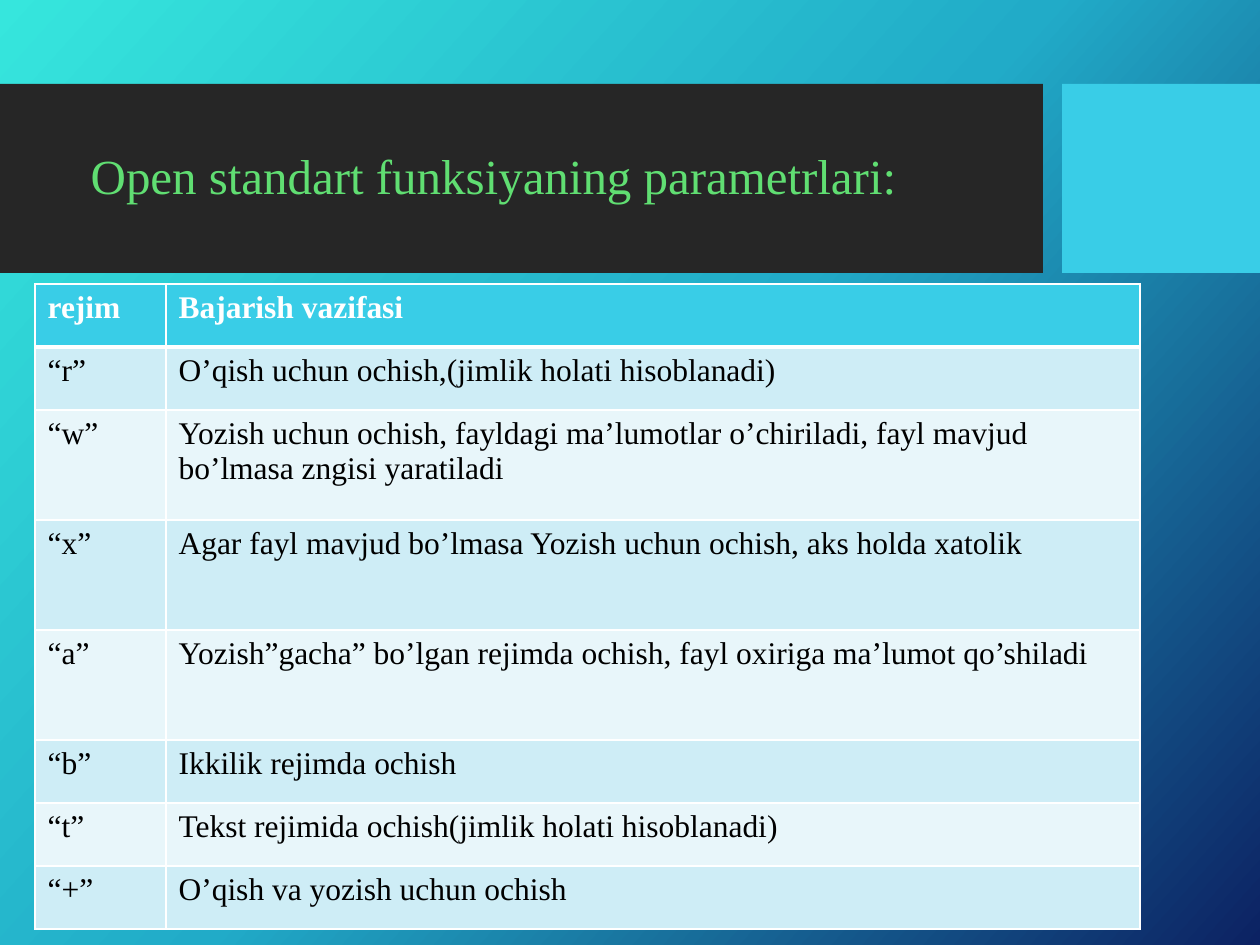
from copy import deepcopy
from dataclasses import dataclass

from lxml import etree
from pptx import Presentation
from pptx.dml.color import RGBColor
from pptx.enum.shapes import MSO_SHAPE
from pptx.enum.text import MSO_ANCHOR, PP_ALIGN
from pptx.oxml.ns import qn
from pptx.util import Emu, Pt

RECTANGLE = MSO_SHAPE.RECTANGLE
MIDDLE = MSO_ANCHOR.MIDDLE
CENTER = PP_ALIGN.CENTER

EMU_PER_PX = 914400 / 126
SLIDE_SIZE = (1260, 945)
BLANK_LAYOUT = 6


@dataclass(frozen=True)
class Theme:
    font: str = "Times New Roman"
    title_size: int = 28
    table_size: int = 18
    gradient: tuple = ((0, "36E6DD"), (0.5, "21ABC8"), (1, "0C2263"))
    gradient_angle: int = 42
    band: str = "262626"
    accent: str = "39CDE7"
    title: str = "60DE72"
    header_text: str = "FFFFFF"
    body_text: str = "000000"
    body_rows: tuple = ("CEEDF6", "E8F6FA")
    border: str = "FFFFFF"
    border_width: int = 1
    header_rule: int = 3


THEME = Theme()

TITLE = "Open standart funksiyaning parametrlari:"
MODES = [
    ("rejim", "Bajarish vazifasi"),
    ("“r”", "O’qish uchun ochish,(jimlik holati hisoblanadi)"),
    ("“w”", "Yozish uchun ochish, fayldagi ma’lumotlar o’chiriladi, "
            "fayl mavjud bo’lmasa zngisi yaratiladi"),
    ("“x”", "Agar fayl mavjud bo’lmasa Yozish uchun ochish, aks holda xatolik"),
    ("“a”", "Yozish”gacha” bo’lgan rejimda ochish, fayl oxiriga ma’lumot qo’shiladi"),
    ("“b”", "Ikkilik rejimda ochish"),
    ("“t”", "Tekst rejimida ochish(jimlik holati hisoblanadi)"),
    ("“+”", "O’qish va yozish uchun ochish"),
]
SHORT_ROW, TALL_ROW = 63, 110
TALL_MODES = ("“w”", "“x”", "“a”")
MODE_COLUMN = 131


def px(length):
    return Emu(round(length * EMU_PER_PX))


def rgb(value):
    return RGBColor.from_string(value)


def style_font(paragraph, size, color, bold=False):
    font = paragraph.font
    font.name, font.size, font.bold = THEME.font, Pt(size), bold
    font.color.rgb = rgb(color)


def paint_background(slide):
    fill = slide.background.fill
    fill.gradient()
    fill.gradient_angle = 360 - THEME.gradient_angle
    stop_list = slide.element.find(".//" + qn("a:gsLst"))
    stop_list.insert(1, deepcopy(stop_list[0]))
    for stop, (position, color) in zip(fill.gradient_stops, THEME.gradient):
        stop.position = position
        stop.color.rgb = rgb(color)


def add_block(slide, left, top, width, height, color):
    block = slide.shapes.add_shape(
        RECTANGLE, px(left), px(top), px(width), px(height))
    block.shadow.inherit = False
    block.fill.solid()
    block.fill.fore_color.rgb = rgb(color)
    block.line.fill.background()


def add_title_band(slide, left, top, width, height):
    """Dark band with the title, and an accent block after a gap."""
    accent_width, gap = 198, 19
    band_width = width - accent_width - gap
    add_block(slide, left, top, band_width, height, THEME.band)
    add_block(slide, left + width - accent_width, top, accent_width, height,
              THEME.accent)

    title_height = 67
    title = slide.shapes.add_textbox(
        px(left + 74), px(top + (height - title_height) / 2),
        px(839), px(title_height))
    frame = title.text_frame
    frame.word_wrap = False
    frame.vertical_anchor = MIDDLE
    paragraph = frame.paragraphs[0]
    paragraph.text = TITLE
    paragraph.alignment = CENTER
    paragraph.line_spacing = 0.9
    style_font(paragraph, THEME.title_size, THEME.title)


def set_borders(cell, top, bottom):
    properties = cell._tc.get_or_add_tcPr()
    sides = (("L", THEME.border_width), ("R", THEME.border_width),
             ("T", top), ("B", bottom))
    for side, width in sides:
        line = etree.SubElement(properties, qn("a:ln" + side), w=str(Pt(width)))
        fill = etree.SubElement(line, qn("a:solidFill"))
        etree.SubElement(fill, qn("a:srgbClr"), val=THEME.border)


def fill_cell(cell, text, row):
    header = row == 0
    set_borders(cell,
                top=THEME.header_rule if row == 1 else THEME.border_width,
                bottom=THEME.header_rule if header else THEME.border_width)
    cell.fill.solid()
    cell.fill.fore_color.rgb = rgb(
        THEME.accent if header else THEME.body_rows[(row - 1) % 2])
    paragraph = cell.text_frame.paragraphs[0]
    paragraph.text = text
    style_font(paragraph, THEME.table_size,
               THEME.header_text if header else THEME.body_text, header)


def add_mode_table(slide, left, top, width):
    heights = [TALL_ROW if mode in TALL_MODES else SHORT_ROW for mode, _ in MODES]
    table = slide.shapes.add_table(
        len(MODES), 2, px(left), px(top), px(width), px(sum(heights))).table
    table.columns[0].width = px(MODE_COLUMN)
    table.columns[1].width = px(width - MODE_COLUMN)
    for row, (texts, height) in enumerate(zip(MODES, heights)):
        table.rows[row].height = px(height)
        for column, text in enumerate(texts):
            fill_cell(table.cell(row, column), text, row)


def main():
    presentation = Presentation()
    presentation.slide_width, presentation.slide_height = map(px, SLIDE_SIZE)
    slide = presentation.slides.add_slide(presentation.slide_layouts[BLANK_LAYOUT])
    paint_background(slide)
    add_title_band(slide, 0, 84, SLIDE_SIZE[0], 189)
    add_mode_table(slide, 35, 284, 1105)
    presentation.save("out.pptx")


if __name__ == "__main__":
    main()
